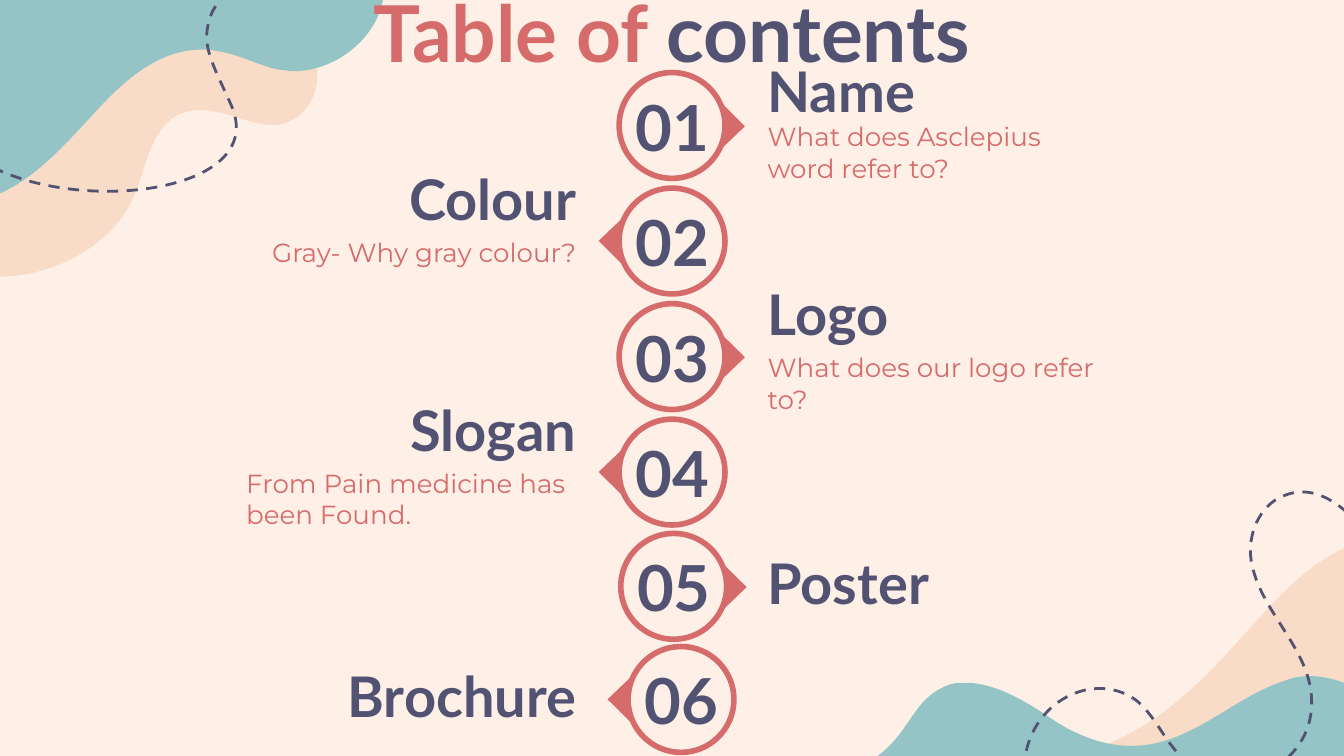
from dataclasses import dataclass

from lxml import etree
from pptx import Presentation
from pptx.dml.color import RGBColor
from pptx.enum.dml import MSO_LINE
from pptx.enum.shapes import MSO_SHAPE
from pptx.enum.text import MSO_ANCHOR, MSO_AUTO_SIZE, PP_ALIGN
from pptx.oxml.ns import qn
from pptx.util import Pt

LEFT, CENTER, RIGHT = PP_ALIGN.LEFT, PP_ALIGN.CENTER, PP_ALIGN.RIGHT
TOP, MIDDLE, BOTTOM = MSO_ANCHOR.TOP, MSO_ANCHOR.MIDDLE, MSO_ANCHOR.BOTTOM
TRIANGLE, OVAL = MSO_SHAPE.ISOSCELES_TRIANGLE, MSO_SHAPE.OVAL
DASH, FIXED = MSO_LINE.DASH, MSO_AUTO_SIZE.NONE


@dataclass(frozen=True)
class Theme:
    cream: RGBColor = RGBColor.from_string("FEF0E6")
    peach: RGBColor = RGBColor.from_string("F9DCC7")
    teal: RGBColor = RGBColor.from_string("95C4C6")
    coral: RGBColor = RGBColor.from_string("D66B6B")
    navy: RGBColor = RGBColor.from_string("525272")
    heading_font: str = "Lato"
    body_font: str = "Montserrat"
    title_size: int = 42
    number_size: int = 34
    topic_size: int = 30
    body_size: int = 14


theme = Theme()


def write(box, left, top, width, height, runs, size, align, anchor, font=theme.heading_font):
    box.left, box.top, box.width, box.height = Pt(left), Pt(top), Pt(width), Pt(height)
    frame = box.text_frame
    frame.word_wrap, frame.auto_size, frame.vertical_anchor = True, FIXED, anchor
    frame.margin_left = frame.margin_right = 0
    frame.margin_top = frame.margin_bottom = Pt(7.2)
    paragraph = frame.paragraphs[0]
    properties = paragraph._p.get_or_add_pPr()
    properties.set("marL", "0")
    properties.set("indent", "0")
    etree.SubElement(properties, qn("a:buNone"))
    paragraph.space_before = Pt(0)
    paragraph.alignment = align
    for words, color in runs:
        run = paragraph.add_run()
        run.text = words
        run.font.name, run.font.size = font, Pt(size)
        run.font.bold = font == theme.heading_font
        run.font.color.rgb = color


def paint(shape, fill=None, line=None, width=0):
    shape.shadow.inherit = False
    if fill is None:
        shape.fill.background()
    else:
        shape.fill.solid()
        shape.fill.fore_color.rgb = fill
    if line is None:
        shape.line.fill.background()
    else:
        shape.line.color.rgb = line
        shape.line.width = Pt(width)


prs = Presentation()
prs.slide_width, prs.slide_height = Pt(720), Pt(405)
slide = prs.slides.add_slide(prs.slide_layouts[4])
slide.background.fill.solid()
slide.background.fill.fore_color.rgb = theme.cream
shapes = slide.shapes

waves = [
    (theme.peach, (720, 405), [(720, 293.8), (672.5, 314.6), (647.3, 388.1), (573.1, 405)]),
    (theme.teal, (720, 405), [
        (720, 365.8), (714.2, 363.6), (707.8, 362.2), (702, 362.2),
        (697, 362.2), (692.6, 362.9), (687.6, 365), (660.2, 373.7), (637.9, 399.6), (606.2, 399.6),
        (594, 399.6), (580.3, 396), (564.5, 385.9), (550.1, 375.8), (532.8, 365.8), (517.7, 365.8),
        (514.1, 365.8), (510.5, 365.8), (507.6, 367.2), (488.9, 374.4), (488.2, 391.7), (470.2, 405)]),
    (None, None, [
        (735.8, 290.2), (727.9, 280.1), (709.2, 256.3), (687.6, 265.7),
        (674.6, 270.7), (668.2, 286.6), (670.3, 300.2), (674.6, 327.6), (702.7, 347.8), (702.7, 375.8),
        (703.4, 411.1), (660.2, 430.6), (633.6, 406.1), (623.5, 396.7), (618.5, 382.3), (607.7, 374.4),
        (583.9, 358.6), (548.6, 378), (548.6, 413.3)]),
    (theme.peach, (0, 0), [
        (0, 148.3), (31.7, 147.6), (62.6, 129.6), (72.7, 103),
        (76.3, 94.3), (77.8, 85.7), (82.1, 77), (88.6, 62.6), (97.9, 59), (107.3, 59),
        (120.2, 59), (134.6, 67), (146.2, 67), (146.9, 67), (147.6, 67), (148.3, 67),
        (164.9, 64.8), (172.8, 47.5), (169.2, 33.8), (164.9, 20.2), (152.6, 10.1), (141.1, 0)]),
    (theme.teal, (0, 0), [
        (0, 103.7), (25.9, 92.2), (46.8, 62.6), (63.4, 47.5),
        (80.6, 31.7), (95, 26.6), (108, 26.6), (124.6, 26.6), (137.5, 35.3), (149.8, 37.4),
        (152.6, 37.4), (154.8, 38.2), (157, 38.2), (179.3, 38.2), (200.9, 21.6), (205.2, 0)]),
    (None, None, [
        (-53.3, 94.3), (-28.8, 100.1), (-8.6, 75.6), (-18, 53.3),
        (-23, 42.5), (-33.8, 43.9), (-31.7, 57.6), (-20.9, 119.5), (150.5, 115.9), (123.8, 56.2),
        (113, 32.4), (108, 24.5), (112.3, 10.1), (118.1, -7.9), (140.4, -15.1), (157.7, -15.1)]),
]
for color, corner, knots in waves:
    outline = [(Pt(x), Pt(y)) for x, y in knots + ([corner] if corner else [])]
    builder = shapes.build_freeform(*outline[0])
    builder.add_line_segments(outline[1:], close=corner is not None)
    wave = builder.convert_to_shape()
    segments = list(wave.element.iter(qn("a:lnTo")))[:len(knots) - 1]
    for start in range(0, len(segments), 3):
        curve = etree.Element(qn("a:cubicBezTo"))
        segments[start].addprevious(curve)
        for segment in segments[start:start + 3]:
            curve.append(segment[0])
            segment.getparent().remove(segment)
    if corner:
        paint(wave, color)
    else:
        paint(wave, line=theme.navy, width=1.5)
        wave.line.dash_style = DASH

title = shapes.title
title.element.getparent().append(title.element)
write(title, 56.5, -4.3, 607, 53.3, [("Table of ", theme.coral), ("contents", theme.navy)],
      theme.title_size, CENTER, BOTTOM)

RING = 56.7
entries = [
    ("Name", "What does Asclepius word refer to?", 331.7, 38.9, -3.8, LEFT),
    ("Colour", "Gray- Why gray colour?", 331.7, 100.8, -8, RIGHT),
    ("Logo", "What does our logo refer to?", 331.7, 162.7, -8, LEFT),
    ("Slogan", "From Pain medicine has been Found.", 331.7, 224.6, -8, LEFT),
    ("Poster", None, 332.6, 285.8, 12.8, LEFT),
    ("Brochure", None, 336.5, 346.4, 12.8, RIGHT),
]
details = iter([holder for holder in slide.placeholders if holder.placeholder_format.idx])
for number, (topic, detail, ring_left, ring_top, topic_shift, detail_align) in enumerate(entries, 1):
    on_right = number % 2 == 1
    column = 411.2 if on_right else 131.8
    pointer = shapes.add_shape(TRIANGLE, Pt(ring_left + (46.2 if on_right else -17.8)), Pt(ring_top + 21.3),
                               Pt(28), Pt(14.4))
    pointer.adjustments[0] = 0.51
    pointer.rotation = 90 if on_right else 270
    paint(pointer, theme.coral)
    ring = shapes.add_shape(OVAL, Pt(ring_left), Pt(ring_top), Pt(RING), Pt(RING))
    paint(ring, theme.cream, theme.coral, 3)
    write(shapes.add_textbox(0, 0, 0, 0), ring_left + 8.4, ring_top + 12.2, 40, 32.4,
          [(f"{number:02}", theme.navy)], theme.number_size, CENTER, MIDDLE)
    write(shapes.add_textbox(0, 0, 0, 0), column, ring_top + topic_shift, 177, 26.6,
          [(topic, theme.navy)], theme.topic_size, LEFT if on_right else RIGHT, MIDDLE)
    if detail:
        write(next(details), column, ring_top + 18.5, 177, 39.6,
              [(detail, theme.coral)], theme.body_size, detail_align, TOP, theme.body_font)

prs.save("out.pptx")
